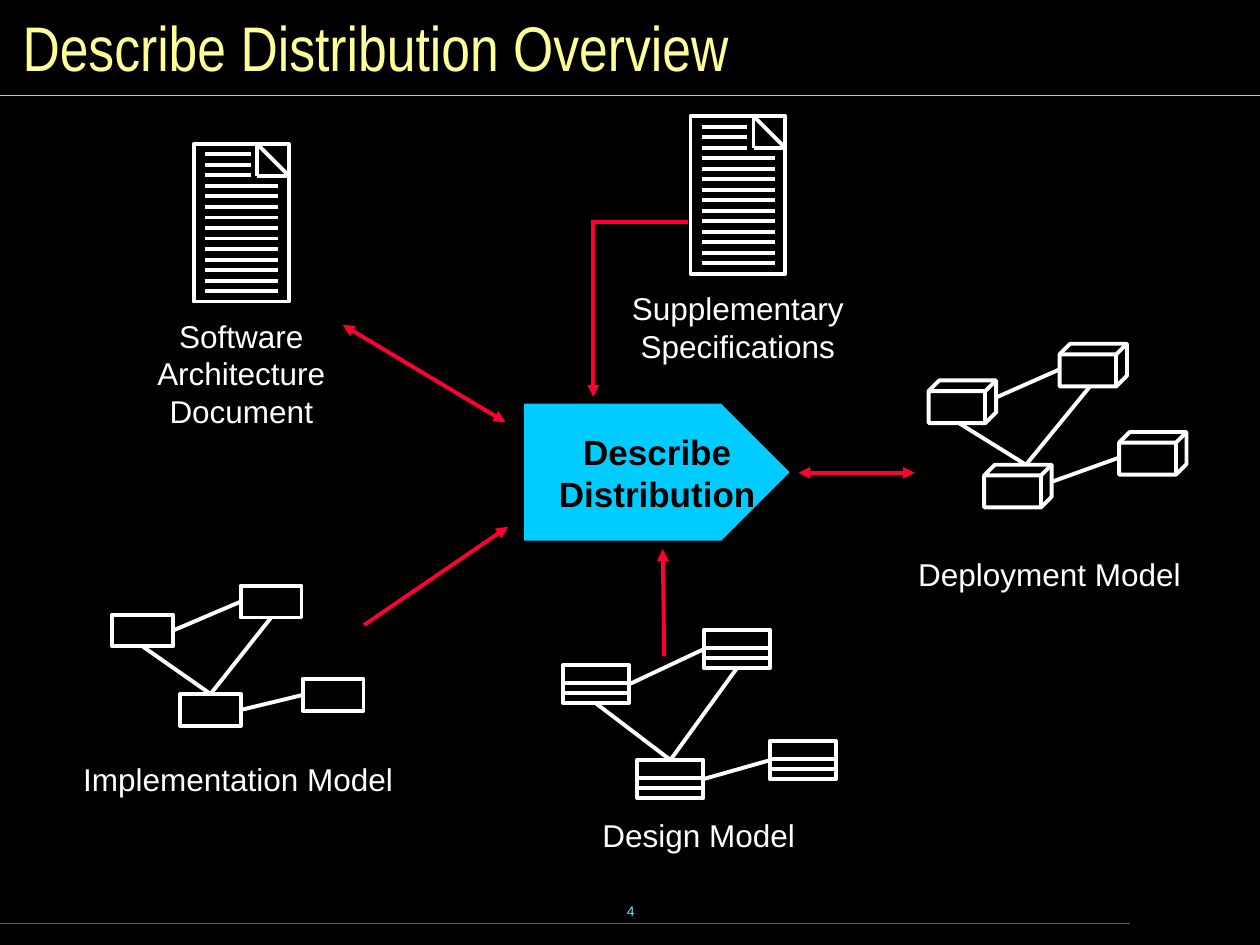
from dataclasses import dataclass

from lxml.etree import SubElement
from pptx import Presentation
from pptx.dml.color import RGBColor
from pptx.enum.shapes import MSO_CONNECTOR, MSO_SHAPE
from pptx.enum.text import MSO_ANCHOR, MSO_AUTO_SIZE, PP_ALIGN
from pptx.oxml.ns import qn
from pptx.util import Cm, Pt


@dataclass(frozen=True)
class Theme:
    """Colours, fonts and sizes of the slide."""
    back: str = "000000"
    ink: str = "FFFFFF"
    title: str = "FFFF99"
    rule: str = "73E1FF"
    foot_rule: str = "007E9F"
    flow: str = "FF0033"
    activity: str = "00CCFF"
    font: str = "Arial"
    title_font: str = "Arial Narrow"
    title_size: float = 36
    activity_size: float = 20
    caption_size: float = 18
    number_size: float = 8
    stroke: float = 2.25
    thin: float = 0.75


T = Theme()
TOP, LEFT, BOTTOM, RIGHT = range(4)
LINKS = [(0, RIGHT, 1, LEFT), (2, TOP, 0, BOTTOM), (2, RIGHT, 3, LEFT), (2, TOP, 1, BOTTOM)]
RECT_PORTS = {TOP: (0.5, 0), LEFT: (0, 0.5), BOTTOM: (0.5, 1), RIGHT: (1, 0.5)}
CUBE_PORTS = {TOP: (0.62, 0), LEFT: (0, 0.6), BOTTOM: (0.45, 1), RIGHT: (1, 0.4)}


def rgb(hex_code):
    """Turn a hex code into a colour."""
    return RGBColor.from_string(hex_code)


def add_line(s, x1, y1, x2, y2, color=T.ink, width=T.stroke, heads=()):
    """Draw a straight line with arrowheads at the named ends."""
    ends = [Cm(v) for v in (x1, y1, x2, y2)]
    cx = s.shapes.add_connector(MSO_CONNECTOR.STRAIGHT, *ends)
    cx.line.color.rgb = rgb(color)
    cx.line.width = Pt(width)
    sp_pr = cx.line._get_or_add_ln().getparent()
    for end in heads:
        SubElement(sp_pr.find(qn("a:ln")), qn(f"a:{end}"), type="triangle")
    SubElement(sp_pr, qn("a:effectLst"))
    return cx


def add_outline(s, kind, x, y, w, h):
    """Draw an unfilled shape."""
    sp = s.shapes.add_shape(kind, Cm(x), Cm(y), Cm(w), Cm(h))
    sp.shadow.inherit = False
    sp.fill.background()
    sp.line.color.rgb = rgb(T.ink)
    sp.line.width = Pt(T.stroke)
    return sp


def set_text(tf, text, size, color, font=T.font, align=PP_ALIGN.CENTER, bold=False):
    """Fill a text frame and format its runs."""
    tf.text = text
    for p in tf.paragraphs:
        p.alignment = align
        for r in p.runs:
            r.font.name, r.font.size, r.font.bold = font, Pt(size), bold
            r.font.color.rgb = rgb(color)


def add_caption(s, text, x, y, w, align=PP_ALIGN.CENTER):
    """Place a caption whose height follows its lines."""
    h = 0.26 + 0.76 * len(text.splitlines())
    tf = s.shapes.add_textbox(Cm(x), Cm(y), Cm(w), Cm(h)).text_frame
    tf.word_wrap = True
    set_text(tf, text, T.caption_size, T.ink, align=align)


def add_frame(s, title, number):
    """Set background, title, rules and slide number."""
    s.background.fill.solid()
    s.background.fill.fore_color.rgb = rgb(T.back)
    sp = s.shapes.title
    sp.left, sp.top, sp.width, sp.height = Cm(0.2), Cm(0.2), Cm(25), Cm(1.47)
    tf = sp.text_frame
    set_text(tf, title, T.title_size, T.title, T.title_font, PP_ALIGN.LEFT)
    tf.auto_size = MSO_AUTO_SIZE.NONE
    tf.vertical_anchor = MSO_ANCHOR.MIDDLE
    add_line(s, 0, 1.93, 25.4, 1.93, T.rule, T.thin)
    add_line(s, 0, 18.62, 22.78, 18.62, T.foot_rule, T.thin)
    tf = s.shapes.add_textbox(Cm(8.69), Cm(17.73), Cm(8.05), Cm(1.27)).text_frame
    tf.word_wrap = True
    tf.vertical_anchor = MSO_ANCHOR.MIDDLE
    set_text(tf, number, T.number_size, T.rule)


def add_activity(s, text, x, y, w, h):
    """Draw the pointed activity box with its name."""
    shoulder = x + w - h / 2
    points = [(shoulder, y), (x + w, y + h / 2), (shoulder, y + h), (x, y + h)]
    fb = s.shapes.build_freeform(Cm(x), Cm(y))
    fb.add_line_segments([(Cm(px), Cm(py)) for px, py in points], close=True)
    sp = fb.convert_to_shape()
    sp.shadow.inherit = False
    sp.fill.solid()
    sp.fill.fore_color.rgb = rgb(T.activity)
    sp.line.color.rgb = rgb(T.back)
    sp.line.width = Pt(T.stroke)
    tf = sp.text_frame
    tf.word_wrap = False
    tf.vertical_anchor = MSO_ANCHOR.MIDDLE
    set_text(tf, text, T.activity_size, T.back, bold=True)


def add_document(s, caption, x, y, w=1.91, h=3.18):
    """Draw a written page with a folded corner and a caption."""
    add_outline(s, MSO_SHAPE.RECTANGLE, x, y, w, h)
    fold, right = 0.64, x + w
    add_line(s, right - fold, y, right, y + fold)
    add_line(s, right - fold, y, right - fold, y + fold)
    add_line(s, right, y + fold, right - fold, y + fold)
    for i in range(1, 15):
        row = y + i * h / 15
        add_line(s, x + 0.23, row, x + (1.14 if i <= 3 else 1.7), row)
    caption_w = 4.78
    add_caption(s, caption, x + (w - caption_w) / 2, y + 3.36, caption_w)


def add_model(s, x, y, nodes, size, kind=MSO_SHAPE.RECTANGLE, stripes=()):
    """Draw four linked nodes, with stripes across each."""
    w, h = size
    boxes = [add_outline(s, kind, x + dx, y + dy, w, h) for dx, dy in nodes]
    for dx, dy in nodes:
        for part in stripes:
            row = y + dy + part * h
            add_line(s, x + dx, row, x + dx + w, row)
    ports = CUBE_PORTS if kind == MSO_SHAPE.CUBE else RECT_PORTS
    for a, side_a, b, side_b in LINKS:
        ends = [v for n, side in ((a, side_a), (b, side_b))
                for v in (x + nodes[n][0] + ports[side][0] * w,
                          y + nodes[n][1] + ports[side][1] * h)]
        cx = add_line(s, *ends)
        if kind == MSO_SHAPE.RECTANGLE:
            cx.begin_connect(boxes[a], side_a)
            cx.end_connect(boxes[b], side_b)


def add_flows(s):
    """Draw the arrows between the activity and its artifacts."""
    one, both = ("tailEnd",), ("headEnd", "tailEnd")
    for *ends, heads in [
        (6.91, 6.55, 10.19, 8.51, both),
        (7.34, 12.6, 10.24, 10.62, one),
        (16.1, 9.53, 18.44, 9.53, both),
        (13.39, 13.23, 13.36, 11.07, one),
        (11.96, 4.47, 11.96, 8, one),
        (11.91, 4.47, 13.87, 4.47, ()),
    ]:
        add_line(s, *ends, T.flow, heads=heads)


def main():
    """Build and save the slide."""
    prs = Presentation()
    prs.slide_width, prs.slide_height = Cm(25.4), Cm(19.05)
    s = prs.slides.add_slide(prs.slide_layouts[5])
    add_frame(s, "Describe Distribution Overview", "4")
    add_activity(s, "Describe\vDistribution", 10.52, 8.1, 5.46, 2.84)
    add_document(s, "Software\nArchitecture\nDocument", 3.91, 2.9)
    add_document(s, "Supplementary\nSpecifications", 13.92, 2.34)
    add_model(s, 18.72, 6.93, [(0, 0.74), (2.64, 0), (1.12, 2.44), (3.84, 1.78)],
              (1.36, 0.86), MSO_SHAPE.CUBE)
    add_caption(s, "Deployment Model", 18.26, 11.07, 5.87, PP_ALIGN.LEFT)
    add_model(s, 2.26, 11.81, [(0, 0.58), (2.59, 0), (1.37, 2.18), (3.84, 1.88)],
              (1.23, 0.64))
    add_caption(s, "Implementation Model", 1.32, 15.19, 6.96)
    add_model(s, 11.35, 12.7, [(0, 0.71), (2.84, 0), (1.5, 2.62), (4.17, 2.24)],
              (1.33, 0.77), stripes=(0.47, 0.73))
    add_caption(s, "Design Model", 11.89, 16.33, 4.39)
    add_flows(s)
    prs.save("out.pptx")


if __name__ == "__main__":
    main()
